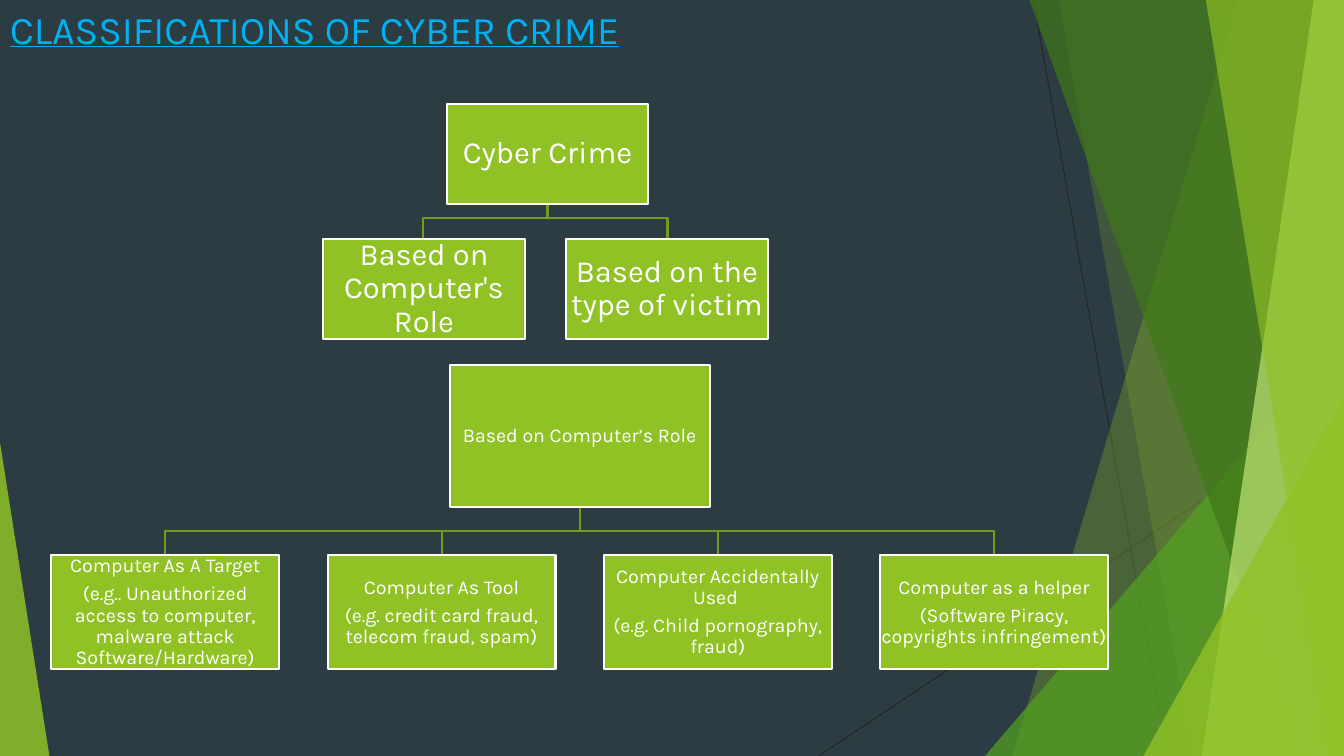
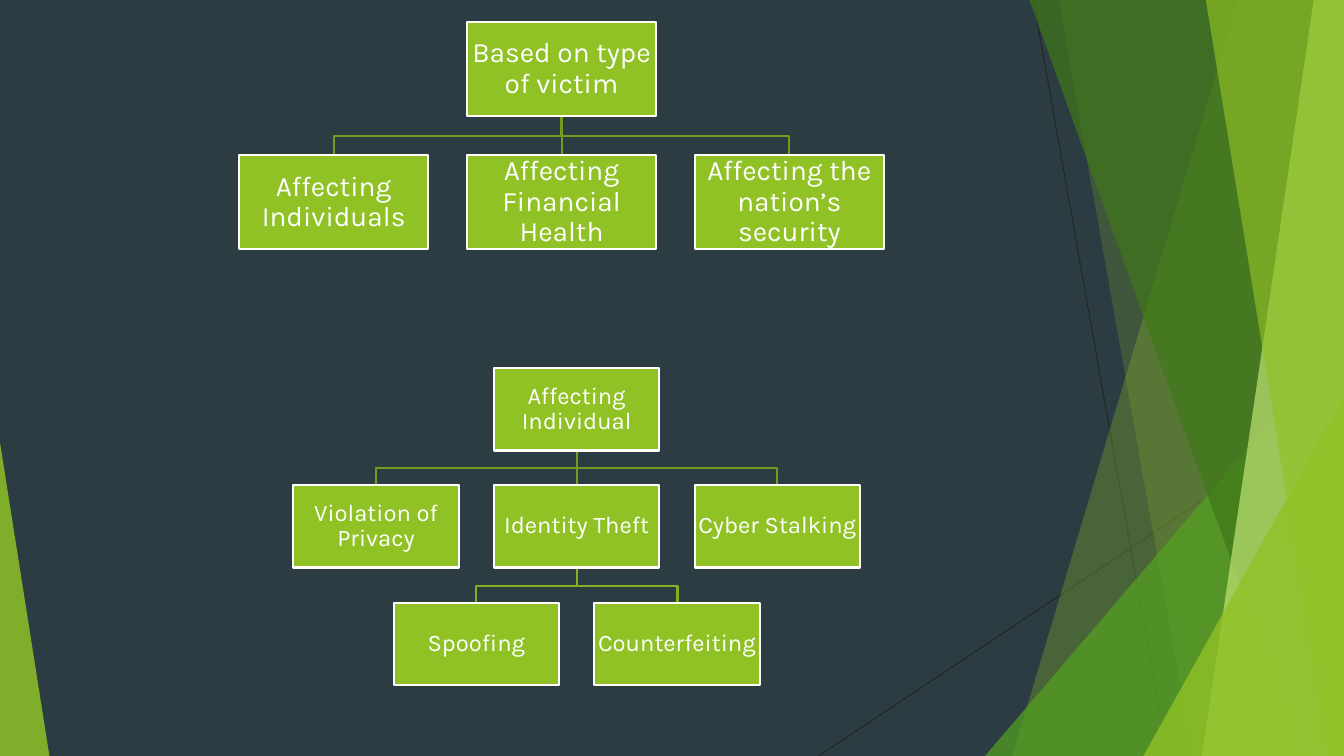
from lxml import etree
from pptx import Presentation
from pptx import util as u
from pptx.dml.color import RGBColor
from pptx.enum import shapes, text
from pptx.oxml.ns import qn

PX = 9144  # 100 px to the inch
WIDTH, HEIGHT = 1333, 750
FONT = "Karla"
BACKDROP, WHITE, TITLE_BLUE = "2C3C43", "FFFFFF", "00B0F0"
LIME, GREEN, FOREST, PALE = "90C226", "54A021", "3F7819", "C0E474"
BRANCH, TWIG, HAIRLINE = "739B1E", "83B022", "262626"

# Each facet is (top x, bottom x) of a band reaching the right edge,
# or (left, top, width, height, apex) of a triangle.
FACETS = [
    (LIME, 30, (1228, 1004)),
    (LIME, 20, (1050, 1183)),
    (GREEN, 72, (977, 333, 356, 417, 1)),
    (FOREST, 70, (1021, 1291)),
    (PALE, 70, (1303, 1192)),
    (LIME, 65, (1196, 1318)),
    (LIME, 80, (1134, 393, 199, 357, 1)),
    (LIME, 85, (0, 439, 49, 311, 0)),
]
HAIRLINES = [(1025, 0, 1158, 750), (1333, 403, 812, 750)]

# A tree is (font size, inset, rows). A row is (centre x, top, pitch, box size,
# labels, stem), where stem is (parent's place in the row above, bend y, colour).
ROLE_TREES = [
    (22, 2, [
        (543, 103, 0, (200, 99), ["Cyber Crime"], None),
        (541, 237, 241, (200, 99),
         ["Based on Computer's Role", "Based on the type of victim"],
         (0, 216, BRANCH)),
    ]),
    (14, 1, [
        (575, 362, 0, (258, 141), ["Based on Computer’s Role"], None),
        (575, 551, 274, (226, 113),
         ["Computer As A Target\n(e.g.. Unauthorized access to computer, "
          "malware attack Software/Hardware)",
          "Computer As Tool\n(e.g. credit card fraud, telecom fraud, spam)",
          "Computer Accidentally Used \n(e.g. Child pornography, fraud)",
          "Computer as a helper\n(Software Piracy, copyrights infringement)"],
         (0, 527, BRANCH)),
    ]),
]
VICTIM_TREES = [
    (20, 1, [
        (557, 22, 0, (187, 93), ["Based on type of victim"], None),
        (557, 154, 226, (187, 93),
         ["Affecting Individuals", "Affecting Financial Health",
          "Affecting the nation’s security"],
         (0, 135, BRANCH)),
    ]),
    (17, 1, [
        (572, 365, 0, (164, 82), ["Affecting Individual"], None),
        (572, 481, 199, (164, 82),
         ["Violation of Privacy", "Identity Theft", "Cyber Stalking"],
         (0, 464, BRANCH)),
        (572, 598, 199, (164, 82), ["Spoofing", "Counterfeiting"],
         (1, 581, TWIG)),
    ]),
]
SLIDES = [("CLASSIFICATIONS OF CYBER CRIME", ROLE_TREES), (None, VICTIM_TREES)]


def paint(fill, color, opacity=100):
    """Make a shape, line, font or background fill solid."""
    fill.solid()
    fill.fore_color.rgb = RGBColor.from_string(color)
    if opacity < 100:
        tint = fill._xPr.find(qn("a:solidFill"))[0]
        etree.SubElement(tint, qn("a:alpha"), val=str(opacity * 1000))


def add_line(slide, ends, color, points):
    line = slide.shapes.add_connector(
        shapes.MSO_CONNECTOR.STRAIGHT, *(round(end * PX) for end in ends))
    paint(line.line.fill, color)
    line.line.width = u.Pt(points)
    etree.SubElement(line.element.spPr, qn("a:effectLst"))
    return line


prs = Presentation()
prs.slide_width, prs.slide_height = WIDTH * PX, HEIGHT * PX
paint(prs.slide_master.background.fill, BACKDROP)

for title, trees in SLIDES:
    slide = prs.slides.add_slide(prs.slide_layouts[6])

    for ends in HAIRLINES:
        add_line(slide, ends, HAIRLINE, 0.75)
    for color, opacity, outline in FACETS:
        if len(outline) == 2:
            top_x, bottom_x = outline
            builder = slide.shapes.build_freeform(top_x, 0, scale=PX)
            builder.add_line_segments(
                [(WIDTH, 0), (WIDTH, HEIGHT), (bottom_x, HEIGHT)], close=True)
            facet = builder.convert_to_shape()
        else:
            *place, apex = outline
            facet = slide.shapes.add_shape(
                shapes.MSO_SHAPE.ISOSCELES_TRIANGLE, *(v * PX for v in place))
            facet.adjustments[0] = apex
        paint(facet.fill, color, opacity)
        facet.line.fill.background()
        facet.shadow.inherit = False

    for size, inset, rows in trees:
        row_above = []
        for centre, top, pitch, (width, height), labels, stem in rows:
            middles = [centre + (i - (len(labels) - 1) / 2) * pitch
                       for i in range(len(labels))]
            row = []
            for middle, label in zip(middles, labels):
                box = slide.shapes.add_shape(
                    shapes.MSO_SHAPE.RECTANGLE, round((middle - width / 2) * PX),
                    top * PX, width * PX, height * PX)
                paint(box.fill, LIME)
                paint(box.line.fill, WHITE)
                box.line.width = u.Pt(1.5)
                box.shadow.inherit = False
                frame = box.text_frame
                frame.word_wrap = True
                frame.vertical_anchor = text.MSO_ANCHOR.MIDDLE
                frame.margin_left = frame.margin_right = inset * PX
                frame.margin_top = frame.margin_bottom = inset * PX
                for i, words in enumerate(label.split("\n")):
                    para = frame.add_paragraph() if i else frame.paragraphs[0]
                    para.alignment = text.PP_ALIGN.CENTER
                    para.line_spacing = 0.9
                    para.space_after = u.Pt(size * 0.35)
                    run = para.add_run()
                    run.text = words
                    run.font.size, run.font.name = u.Pt(size), FONT
                    paint(run.font.fill, WHITE)
                row.append(box)

            if stem:
                place, bend_y, color = stem
                parent = row_above[place]
                parent_x = (parent.left + parent.width / 2) / PX
                parent_bottom = (parent.top + parent.height) / PX
                for middle, box in zip(middles, row):
                    if middle == parent_x:
                        branch = add_line(
                            slide, (middle, parent_bottom, middle, top), color, 1.5)
                        branch.begin_connect(parent, 2)
                        branch.end_connect(box, 0)
                    else:
                        builder = slide.shapes.build_freeform(
                            parent_x, parent_bottom, scale=PX)
                        builder.add_line_segments(
                            [(parent_x, bend_y), (middle, bend_y), (middle, top)],
                            close=False)
                        branch = builder.convert_to_shape()
                        branch.fill.background()
                        paint(branch.line.fill, color)
                        branch.line.width = u.Pt(1.5)
                        branch.shadow.inherit = False
                    # keep the branches behind the boxes
                    parent.element.addprevious(branch.element)
            row_above = row

    if title:
        heading = slide.shapes.add_textbox(0, 0, 730 * PX, 57 * PX).text_frame
        heading.word_wrap = True
        heading.auto_size = text.MSO_AUTO_SIZE.SHAPE_TO_FIT_TEXT
        run = heading.paragraphs[0].add_run()
        run.text = title
        run.font.size, run.font.name = u.Pt(28), FONT
        run.font.underline = True
        paint(run.font.fill, TITLE_BLUE)

prs.save("out.pptx")
